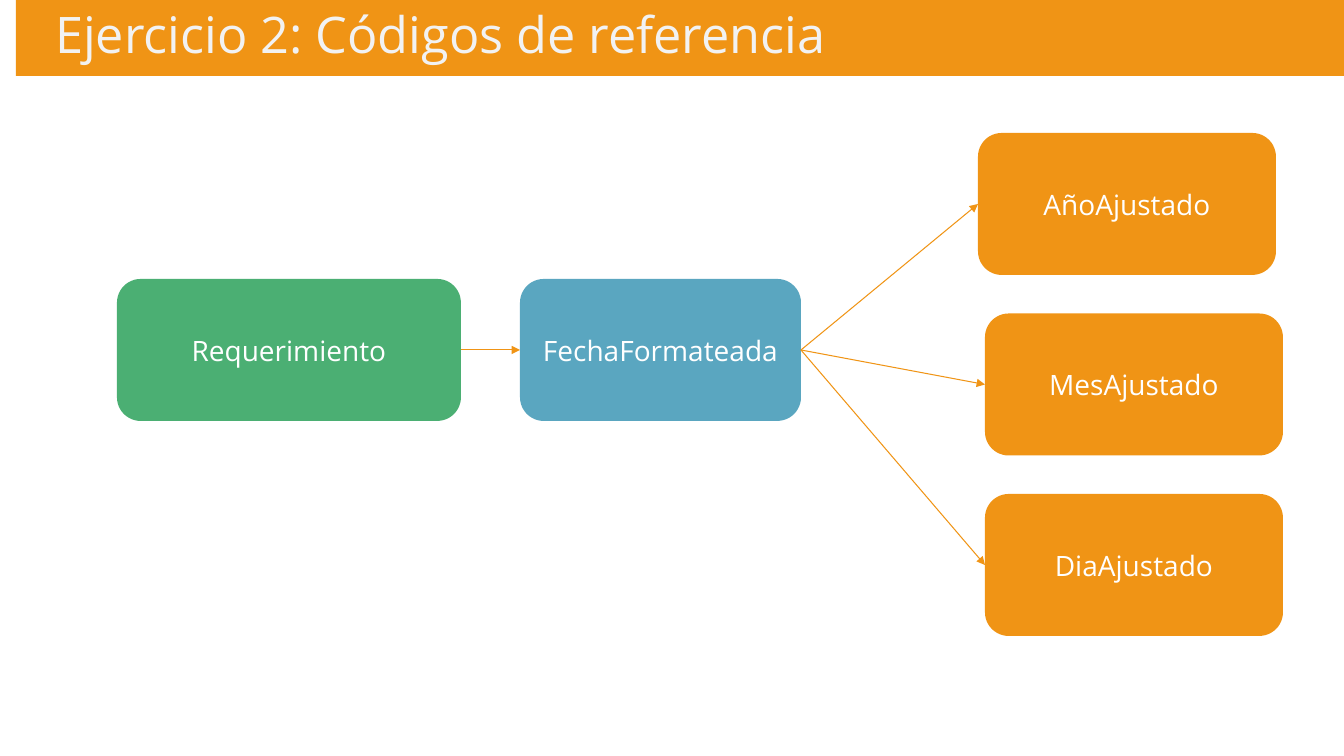
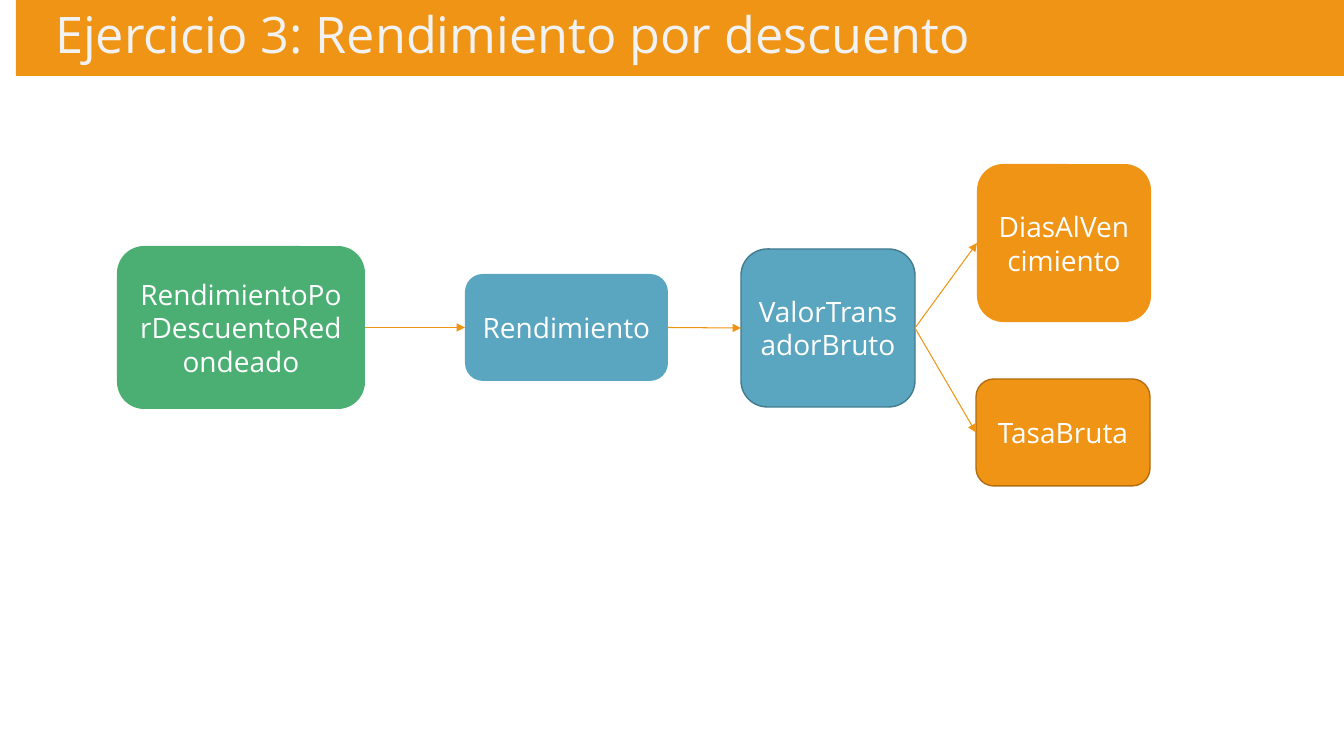
from collections import namedtuple
from dataclasses import dataclass

from lxml import etree
from pptx import Presentation
from pptx.dml.color import RGBColor
from pptx.enum.shapes import MSO_CONNECTOR, MSO_SHAPE
from pptx.enum.text import MSO_ANCHOR, MSO_AUTO_SIZE, PP_ALIGN
from pptx.oxml.ns import qn
from pptx.util import Pt

EMU_PER_PIXEL = 914400 / 100.8
LEFT_SITE, RIGHT_SITE = 1, 3

Box = namedtuple("Box", "left top width height")
Node = namedtuple("Node", "text box fill outline", defaults=[None])


@dataclass(frozen=True)
class Theme:
    font: str = "Open Sans"
    orange: str = "F09415"
    green: str = "4BAF73"
    blue: str = "5AA6C0"
    dark_orange: str = "B26D10"
    dark_blue: str = "437B8E"
    title_text: str = "F2F2F2"
    node_text: str = "FFFFFF"
    title_size: int = 36
    node_size: int = 20
    arrow_width: float = 0.75
    outline_width: float = 1


THEME = Theme()
PAGE = Box(0, 0, 1344, 756)
BAND = Box(16, 0, 1328, 76)
TITLE = Box(45, -1, 1059, 77)


def px(length):
    return round(length * EMU_PER_PIXEL)


def rgb(value):
    return RGBColor.from_string(value)


def place(shape, box):
    shape.left, shape.top, shape.width, shape.height = map(px, box)


def write(frame, text, size, color, align):
    frame.word_wrap = True
    frame.auto_size = MSO_AUTO_SIZE.NONE
    frame.vertical_anchor = MSO_ANCHOR.MIDDLE
    paragraph = frame.paragraphs[0]
    paragraph.alignment = align
    run = paragraph.add_run()
    run.text = text
    run.font.name = THEME.font
    run.font.size = Pt(size)
    run.font.color.rgb = rgb(color)


def add_block(slide, kind, box, fill, outline=None):
    shape = slide.shapes.add_shape(kind, *map(px, box))
    shape.shadow.inherit = False
    shape.fill.solid()
    shape.fill.fore_color.rgb = rgb(fill)
    if outline:
        shape.line.color.rgb = rgb(outline)
        shape.line.width = Pt(THEME.outline_width)
    else:
        shape.line.fill.background()
    return shape


def add_arrow(slide, source, target):
    arrow = slide.shapes.add_connector(MSO_CONNECTOR.STRAIGHT, 0, 0, 0, 0)
    arrow.begin_connect(source, RIGHT_SITE)
    arrow.end_connect(target, LEFT_SITE)
    arrow.line.color.rgb = rgb(THEME.orange)
    arrow.line.width = Pt(THEME.arrow_width)
    etree.SubElement(arrow.line._get_or_add_ln(), qn("a:tailEnd"), type="triangle")
    etree.SubElement(arrow.element.spPr, qn("a:effectLst"))


def add_flow(slide, area, nodes, links):
    shapes = []
    for node in nodes:
        box = node.box._replace(left=area.left + node.box.left, top=area.top + node.box.top)
        shape = add_block(slide, MSO_SHAPE.ROUNDED_RECTANGLE, box, node.fill, node.outline)
        write(shape.text_frame, node.text, THEME.node_size, THEME.node_text, PP_ALIGN.CENTER)
        shapes.append(shape)
    for source, target in links:
        add_arrow(slide, shapes[source], shapes[target])


def add_titled_slide(deck, layout, title):
    slide = deck.slides.add_slide(layout)
    frame = slide.shapes.title.text_frame
    write(frame, title, THEME.title_size, THEME.title_text, PP_ALIGN.LEFT)
    frame.paragraphs[0].line_spacing = 0.9
    return slide


def prepare_layout(layout, slide):
    band = add_block(slide, MSO_SHAPE.RECTANGLE, BAND, THEME.orange)
    layout.shapes.element.insert(2, band.element)
    place(layout.placeholders[0], TITLE)


def reference_codes(slide, area):
    row, pitch, width, height = 146, 180.5, 298, 142
    parts = [("AñoAjustado", 861), ("MesAjustado", 868), ("DiaAjustado", 868)]
    nodes = [
        Node("Requerimiento", Box(0, row, 344, height), THEME.green),
        Node("FechaFormateada", Box(403, row, 281, height), THEME.blue),
    ] + [
        Node(text, Box(left, index * pitch, width, height), THEME.orange)
        for index, (text, left) in enumerate(parts)
    ]
    add_flow(slide, area, nodes, [(0, 1), (1, 2), (1, 3), (1, 4)])


def discount_yield(slide, area):
    width, tall, short = 174, 158, 107
    nodes = [
        Node("RendimientoPorDescuentoRedondeado", Box(0, 82, 248, 163), THEME.green),
        Node("Rendimiento", Box(348, 110, 203, short), THEME.blue),
        Node("ValorTransadorBruto", Box(624, 85, width, tall), THEME.blue, THEME.dark_blue),
        Node("DiasAlVencimiento", Box(860, 0, width, tall), THEME.orange),
        Node("TasaBruta", Box(859, 215, width, short), THEME.orange, THEME.dark_orange),
    ]
    add_flow(slide, area, nodes, [(0, 1), (1, 2), (2, 3), (2, 4)])


def main():
    deck = Presentation()
    deck.slide_width, deck.slide_height = px(PAGE.width), px(PAGE.height)
    layout = deck.slide_layouts.get_by_name("Title Only")

    codes = add_titled_slide(deck, layout, "Ejercicio 2: Códigos de referencia")
    prepare_layout(layout, codes)
    reference_codes(codes, Box(117, 133, 1166, 503))

    discount = add_titled_slide(deck, layout, "Ejercicio 3: Rendimiento por descuento")
    discount_yield(discount, Box(117, 164, 1034, 322))

    deck.save("out.pptx")


main()
